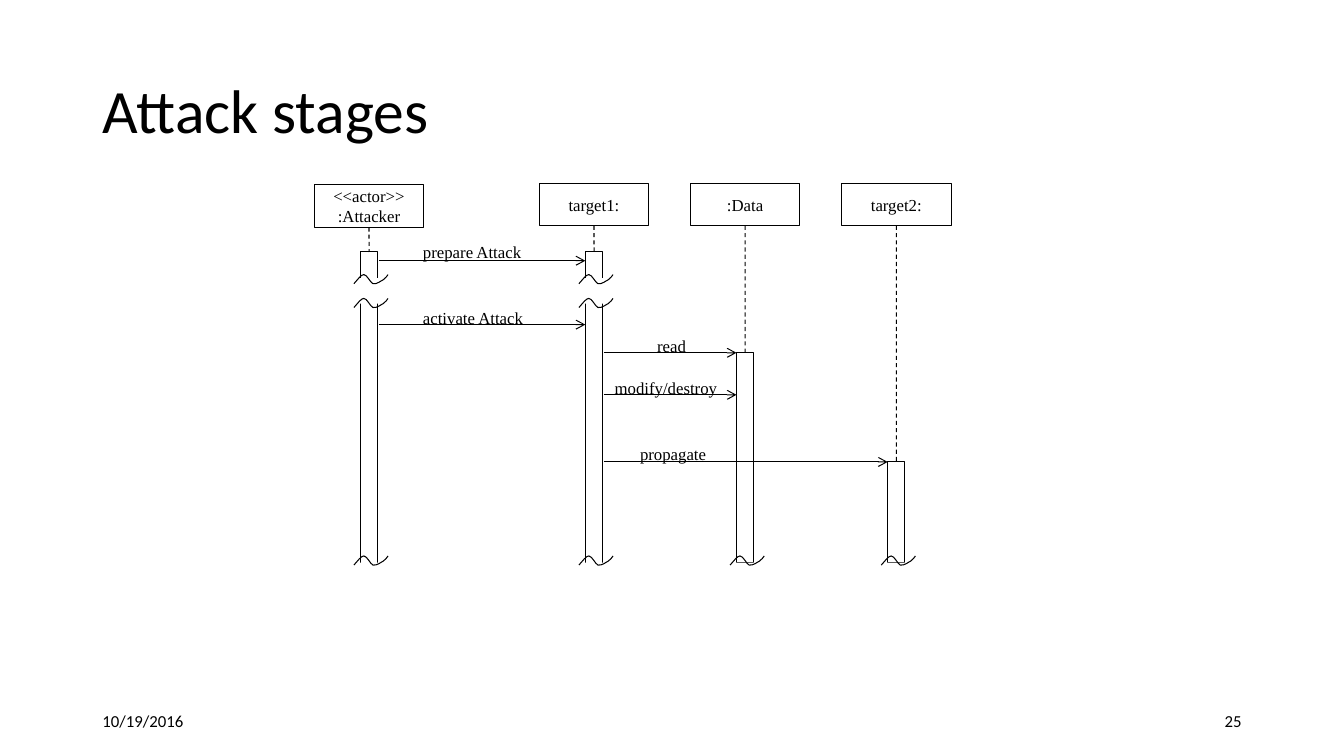
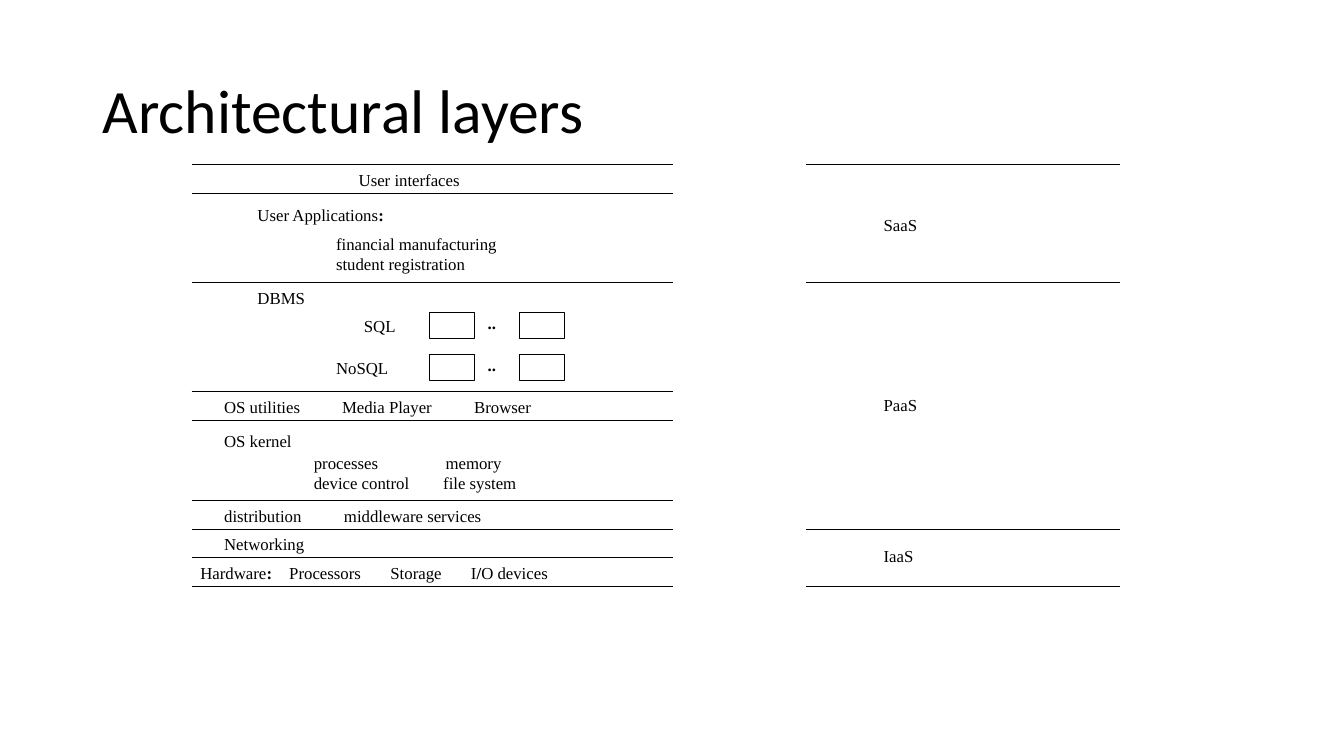
"""Build the attack stages and architectural layers slides."""
from dataclasses import dataclass

from lxml import etree
from pptx import Presentation
from pptx.dml.color import RGBColor
from pptx.enum.dml import MSO_LINE
from pptx.enum.shapes import MSO_CONNECTOR, MSO_SHAPE
from pptx.enum.text import MSO_ANCHOR, PP_ALIGN
from pptx.oxml.ns import qn
from pptx.shapes.autoshape import Shape
from pptx.shapes.connector import Connector
from pptx.slide import Slide
from pptx.util import Cm, Pt

LEFT, CENTER, RIGHT = PP_ALIGN.LEFT, PP_ALIGN.CENTER, PP_ALIGN.RIGHT
TOP, MIDDLE = MSO_ANCHOR.TOP, MSO_ANCHOR.MIDDLE
RECT, STRAIGHT, DASH = MSO_SHAPE.RECTANGLE, MSO_CONNECTOR.STRAIGHT, MSO_LINE.DASH

COLORS = {"ink": "000000", "paper": "FFFFFF"}
SANS, SERIF = "Calibri", "Times New Roman"
BODY_SIZE = 12
LINE_H, EXTRA_LINE_H = 0.76, 0.53
OUTLINE, RULE = 0.75, 0.5

BOX_W, BOX_H = 2.76, 1.07
BAR_W, UPPER_H, LOWER_Y = 0.43, 0.84, 7.62
GAP_Y, GAP_W, MASK_H = 7.01, 2.34, 0.64
BARS_END = 14.18
GAP_WAVES, END_WAVE = (6.92, 7.52), 14.01
WAVE_START = (0, 0.23)
WAVE_CURVES = (
    ((0.1, 0.12), (0.18, 0), (0.25, 0)),
    ((0.33, 0), (0.41, 0.2), (0.48, 0.23)),
    ((0.58, 0.25), (0.69, 0.15), (0.74, 0.13)),
    ((0.79, 0.08), (0.84, 0.05), (0.86, 0)),
)


@dataclass(frozen=True)
class Run:
    text: str
    bold: bool = False


@dataclass(frozen=True)
class Para:
    runs: tuple[Run, ...]
    tabs: tuple[float, ...] = ()


@dataclass(frozen=True)
class Label:
    x: float
    y: float
    w: float
    paras: tuple[Para, ...]


@dataclass(frozen=True)
class Participant:
    names: tuple[str, ...]
    center: float
    bar_top: float
    broken: bool = False
    box_y: float = 4.62


@dataclass(frozen=True)
class Message:
    text: str
    source: int
    target: int
    y: float
    text_x: float
    text_y: float


def para(text: str, *tabs: float) -> Para:
    return Para((Run(text),), tabs)


PARTICIPANTS = (
    Participant(("<<actor>>", ":Attacker"), 9.3, 6.35, True, 4.66),
    Participant(("target1:",), 14.97, 6.35, True),
    Participant((":Data",), 18.78, 8.89),
    Participant(("target2:",), 22.59, 11.64),
)
MESSAGES = (
    Message("prepare Attack", 0, 1, 6.57, 10.41, 5.96),
    Message("activate Attack", 0, 1, 8.18, 10.41, 7.63),
    Message("read", 1, 2, 8.89, 16.31, 8.33),
    Message("modify/destroy", 1, 2, 9.95, 15.24, 9.39),
    Message("propagate", 1, 3, 11.64, 15.88, 11.05),
)

LAYER_X, LAYER_RULES = (4.83, 16.97), (
    4.15, 4.88, 7.11, 9.87, 10.59, 12.62, 13.34, 14.05, 14.77)
SERVICE_X, SERVICE_RULES = (20.32, 28.22), (4.15, 7.11, 13.34, 14.77)
LAYER_LABELS = (
    Label(8.79, 4.15, 5.08, (para("User interfaces"),)),
    Label(6.24, 5.03, 5.08, (Para((Run("User Applications"), Run(":", True))),)),
    Label(8.22, 5.77, 7.06, (para("financial manufacturing"), para("student registration"))),
    Label(6.24, 7.13, 3.1, (para("DBMS"),)),
    Label(8.92, 7.82, 2.54, (para("SQL"),)),
    Label(8.22, 8.89, 2.54, (para("NoSQL"),)),
    Label(5.4, 9.88, 11.28, (para("OS utilities\tMedia Player\tBrowser", 2.97, 6.3),)),
    Label(5.4, 10.72, 3.1, (para("OS kernel"),)),
    Label(7.66, 11.28, 8.18, (
        para("processes\tmemory", 3.32), para("device control\tfile system", 3.26))),
    Label(5.4, 12.62, 11.28, (para("distribution\tmiddleware services", 3.02),)),
    Label(5.4, 13.32, 11.28, (para("Networking"),)),
    Label(4.8, 14.05, 12.98, (Para((
        Run("Hardware"), Run(":", True), Run("\tProcessors\tStorage\tI"),
        Run("/", True), Run("O devices")), (2.24, 4.79, 6.82)),)),
    Label(22.02, 5.28, 3.1, (para("SaaS"),)),
    Label(22.02, 9.82, 3.1, (para("PaaS"),)),
    Label(22.02, 13.63, 3.1, (para("IaaS"),)),
)
DATABASE_ROWS, DATABASE_COLUMNS = (7.88, 8.94), (10.82, 13.1)


def color(name: str) -> RGBColor:
    return RGBColor.from_string(COLORS[name])


def write(shape: Shape, paras: tuple[Para, ...], size: float = BODY_SIZE,
          font: str = SERIF, align: PP_ALIGN = LEFT, anchor: MSO_ANCHOR = TOP) -> None:
    tf = shape.text_frame
    tf.word_wrap = True
    tf.vertical_anchor = anchor
    for i, item in enumerate(paras):
        p = tf.add_paragraph() if i else tf.paragraphs[0]
        p.alignment = align
        if item.tabs:
            tab_list = etree.SubElement(p._p.get_or_add_pPr(), qn("a:tabLst"))
            for pos in item.tabs:
                etree.SubElement(tab_list, qn("a:tab"), pos=str(int(Cm(pos))), algn="l")
        for run in item.runs:
            r = p.add_run()
            r.text = run.text
            r.font.name, r.font.size, r.font.bold = font, Pt(size), run.bold
            r.font.color.rgb = color("ink")


def add_text(s: Slide, x: float, y: float, w: float, h: float) -> Shape:
    return s.shapes.add_textbox(Cm(x), Cm(y), Cm(w), Cm(h))


def add_label(s: Slide, label: Label) -> None:
    h = LINE_H + EXTRA_LINE_H * (len(label.paras) - 1)
    write(add_text(s, label.x, label.y, label.w, h), label.paras)


def add_rect(s: Slide, x: float, y: float, w: float, h: float, outlined: bool = True) -> Shape:
    sp = s.shapes.add_shape(RECT, Cm(x), Cm(y), Cm(w), Cm(h))
    sp.shadow.inherit = False
    sp.fill.solid()
    sp.fill.fore_color.rgb = color("paper")
    if outlined:
        sp.line.color.rgb = color("ink")
        sp.line.width = Pt(OUTLINE)
    else:
        sp.line.fill.background()
    return sp


def add_line(s: Slide, x1: float, y1: float, x2: float, y2: float,
             width: float = OUTLINE, arrow: bool = False) -> Connector:
    line = s.shapes.add_connector(STRAIGHT, Cm(x1), Cm(y1), Cm(x2), Cm(y2))
    line.line.color.rgb = color("ink")
    line.line.width = Pt(width)
    if arrow:
        etree.SubElement(line.line._get_or_add_ln(), qn("a:tailEnd"), type="arrow")
    etree.SubElement(line._element.spPr, qn("a:effectLst"))
    return line


def add_wave(s: Slide, x: float, y: float) -> None:
    points = [(Cm(x + dx), Cm(y + dy)) for curve in WAVE_CURVES for dx, dy in curve]
    builder = s.shapes.build_freeform(Cm(x + WAVE_START[0]), Cm(y + WAVE_START[1]))
    builder.add_line_segments(points, close=False)
    sp = builder.convert_to_shape()
    outline = next(sp._element.iter(qn("a:path")))
    segments = outline.findall(qn("a:lnTo"))
    for i in range(0, len(segments), 3):
        curve = etree.SubElement(outline, qn("a:cubicBezTo"))
        for segment in segments[i:i + 3]:
            curve.append(segment[0])
            outline.remove(segment)
    sp.shadow.inherit = False
    sp.fill.background()
    sp.line.color.rgb = color("ink")
    sp.line.width = Pt(OUTLINE)


def add_titled_slide(prs: Presentation, title: str) -> Slide:
    s = prs.slides.add_slide(prs.slide_layouts[6])
    sp = add_text(s, 2.34, 1.01, 29.21, 3.68)
    write(sp, (para(title),), 44, SANS, anchor=MIDDLE)
    sp.text_frame.paragraphs[0].line_spacing = 0.9
    return s


def add_footer(s: Slide, date: str, number: str) -> None:
    for x, text, align in ((2.33, date, LEFT), (23.92, number, RIGHT)):
        write(add_text(s, x, 17.66, 7.62, 1.01), (para(text),), 12, SANS, align, MIDDLE)


def add_participant(s: Slide, who: Participant) -> None:
    box = add_rect(s, who.center - BOX_W / 2, who.box_y, BOX_W, BOX_H)
    write(box, tuple(para(name) for name in who.names), align=CENTER, anchor=MIDDLE)
    box.text_frame.word_wrap = False
    bar_x = who.center - BAR_W / 2
    bar_h = UPPER_H if who.broken else BARS_END - who.bar_top
    bar = add_rect(s, bar_x, who.bar_top, BAR_W, bar_h)
    lifeline = add_line(s, who.center, who.box_y + BOX_H, who.center, who.bar_top)
    lifeline.line.dash_style = DASH
    lifeline.begin_connect(box, 2)
    lifeline.end_connect(bar, 0)
    if who.broken:
        add_rect(s, bar_x, LOWER_Y, BAR_W, BARS_END + MASK_H / 2 - LOWER_Y)
        add_rect(s, who.center - GAP_W / 2, GAP_Y, GAP_W, MASK_H, outlined=False)


def add_message(s: Slide, message: Message) -> None:
    x1 = PARTICIPANTS[message.source].center + 0.25
    x2 = PARTICIPANTS[message.target].center - 0.22
    add_line(s, x1, message.y, x2, message.y, arrow=True)
    add_label(s, Label(message.text_x, message.text_y, 3.78, (para(message.text),)))


def build_attack_stages(prs: Presentation) -> None:
    s = add_titled_slide(prs, "Attack stages")
    add_footer(s, "10/19/2016", "25")
    for who in PARTICIPANTS:
        add_participant(s, who)
    add_rect(s, 8.89, BARS_END, 14.18, MASK_H, outlined=False)
    for who in PARTICIPANTS:
        for y in (*(GAP_WAVES if who.broken else ()), END_WAVE):
            add_wave(s, who.center - 0.38, y)
    for message in MESSAGES:
        add_message(s, message)


def build_architectural_layers(prs: Presentation) -> None:
    s = add_titled_slide(prs, "Architectural layers")
    for (x1, x2), rules in ((LAYER_X, LAYER_RULES), (SERVICE_X, SERVICE_RULES)):
        for y in rules:
            add_line(s, x1, y, x2, y, RULE)
    for y in DATABASE_ROWS:
        for x in DATABASE_COLUMNS:
            add_rect(s, x, y, 1.13, 0.64)
        add_label(s, Label(12.04, y - 0.13, 1.12, (Para((Run("..", True),)),)))
    for label in LAYER_LABELS:
        add_label(s, label)


def main() -> None:
    prs = Presentation()
    prs.slide_width, prs.slide_height = Cm(33.87), Cm(19.05)
    build_attack_stages(prs)
    build_architectural_layers(prs)
    prs.save("out.pptx")


if __name__ == "__main__":
    main()
